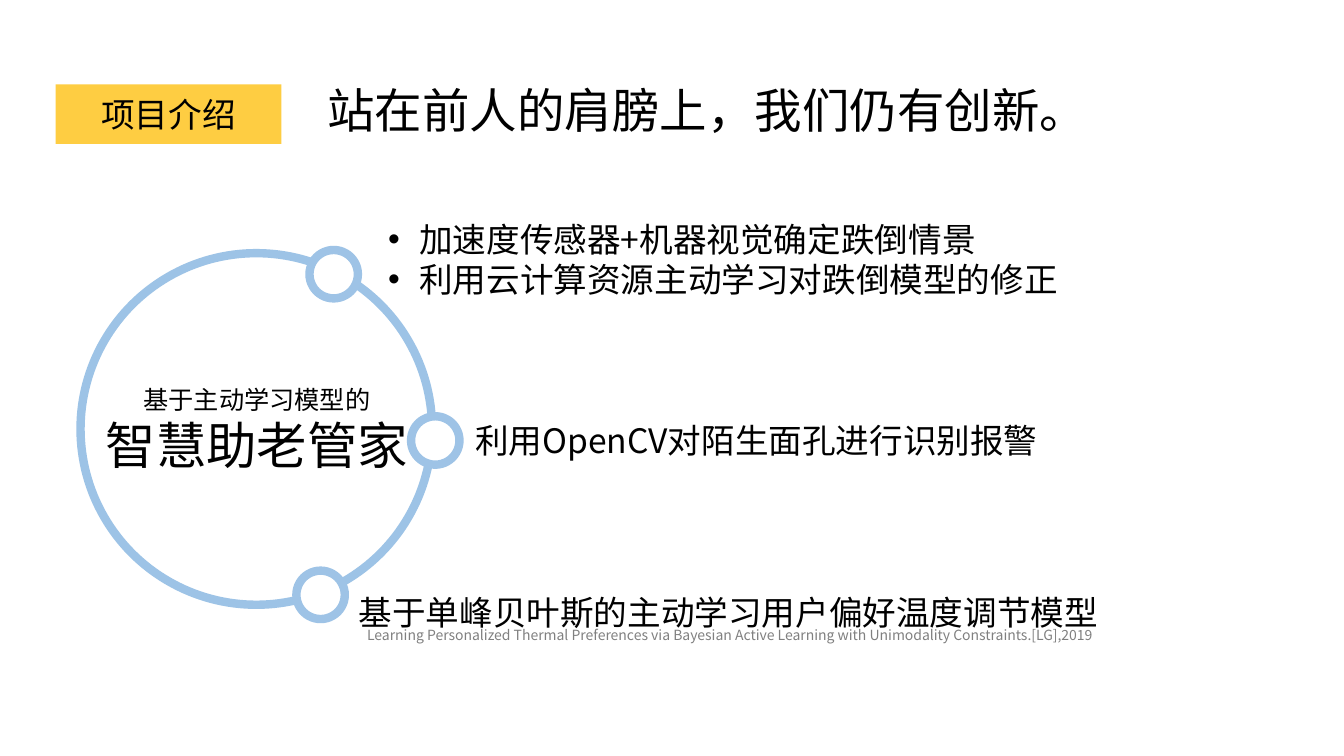
from pptx import Presentation
from pptx.dml.color import RGBColor
from pptx.enum.shapes import MSO_SHAPE as Preset
from pptx.enum.text import MSO_ANCHOR as Anchor, MSO_AUTO_SIZE as AutoSize, PP_ALIGN as Align
from pptx.oxml.ns import qn
from pptx.util import Cm, Pt
from lxml.etree import SubElement

FONT = "Noto Sans CJK JP"
BLACK, GREY, WHITE = "000000", "808080", "FFFFFF"
YELLOW, RING_BLUE, DOT_BLUE = "FECD42", "9DC3E6", "9EC3E6"

SECTION = ("项目介绍", 24)
TITLE = ("站在前人的肩膀上，我们仍有创新。", 33.9)
PROJECT = [("基于主动学习模型的", 18), ("智慧助老管家", 36)]
FALL_DETECTION = [("加速度传感器+机器视觉确定跌倒情景", 24),
                  ("利用云计算资源主动学习对跌倒模型的修正", 24)]
FACE_ALARM = ("利用OpenCV对陌生面孔进行识别报警", 24)
TEMPERATURE = ("基于单峰贝叶斯的主动学习用户偏好温度调节模型", 24)
CITATION = ("Learning Personalized Thermal Preferences via Bayesian Active Learning "
            "with Unimodality Constraints.[LG],2019", 10)

RING = (2.03, 6.38, 8.86, 8.86)
DOT_SIZE = 1.22
DOTS = [(10.36, 10.49), (7.8, 6.3), (7.47, 14.38)]
BULLET_INDENT = Cm(0.79)


def rgb(hex_colour):
    return RGBColor.from_string(hex_colour)


def write(frame, lines, colour=BLACK, align=Align.LEFT, bullet=None):
    frame.text = "\n".join(text for text, _ in lines)
    for paragraph, (_, size) in zip(frame.paragraphs, lines):
        paragraph.alignment = align
        if bullet:
            props = paragraph._p.get_or_add_pPr()
            props.set("marL", str(BULLET_INDENT))
            props.set("indent", str(-BULLET_INDENT))
            SubElement(props, qn("a:buFont"), typeface="Arial")
            SubElement(props, qn("a:buChar"), char=bullet)
        for run in paragraph.runs:
            run.font.size = Pt(size)
            run.font.name = FONT
            run.font.color.rgb = rgb(colour)
            SubElement(run._r.get_or_add_rPr(), qn("a:ea"), typeface=FONT)


def add_text(slide, box, lines, wrap=True, **style):
    frame = slide.shapes.add_textbox(*map(Cm, box)).text_frame
    frame.word_wrap = wrap
    frame.auto_size = AutoSize.SHAPE_TO_FIT_TEXT
    write(frame, lines, **style)


def add_figure(slide, preset, box, fill=None, line=None):
    figure = slide.shapes.add_shape(preset, *map(Cm, box))
    figure.shadow.inherit = False
    if fill:
        figure.fill.solid()
        figure.fill.fore_color.rgb = rgb(fill)
    else:
        figure.fill.background()
    if line:
        figure.line.color.rgb = rgb(line)
        figure.line.width = Pt(6)
    else:
        figure.line.fill.background()
    return figure


def main():
    """Build the project introduction slide."""
    deck = Presentation()
    deck.slide_width, deck.slide_height = Cm(33.87), Cm(19.05)
    slide = deck.slides.add_slide(deck.slide_layouts[6])

    add_text(slide, (8.79, 14.78, 20.12, 1.27), [TEMPERATURE])
    section = add_figure(slide, Preset.RECTANGLE, (1.4, 2.13, 5.69, 1.5), fill=YELLOW)
    section.text_frame.vertical_anchor = Anchor.MIDDLE
    write(section.text_frame, [SECTION], align=Align.CENTER)
    add_text(slide, (8, 1.93, 19.81, 1.7), [TITLE], wrap=False)
    add_text(slide, (2.03, 9.55, 8.89, 2.57), PROJECT, align=Align.CENTER)

    add_figure(slide, Preset.OVAL, RING, line=RING_BLUE)
    for left, top in DOTS:
        add_figure(slide, Preset.OVAL, (left, top, DOT_SIZE, DOT_SIZE),
                   fill=WHITE, line=DOT_BLUE)

    add_text(slide, (8.31, 15.67, 19.46, 1.12), [CITATION], colour=GREY, align=Align.RIGHT)
    add_text(slide, (9.53, 5.38, 17.96, 2.31), FALL_DETECTION, bullet="•")
    add_text(slide, (11.73, 10.46, 17.96, 1.27), [FACE_ALARM])
    deck.save("out.pptx")


if __name__ == "__main__":
    main()
